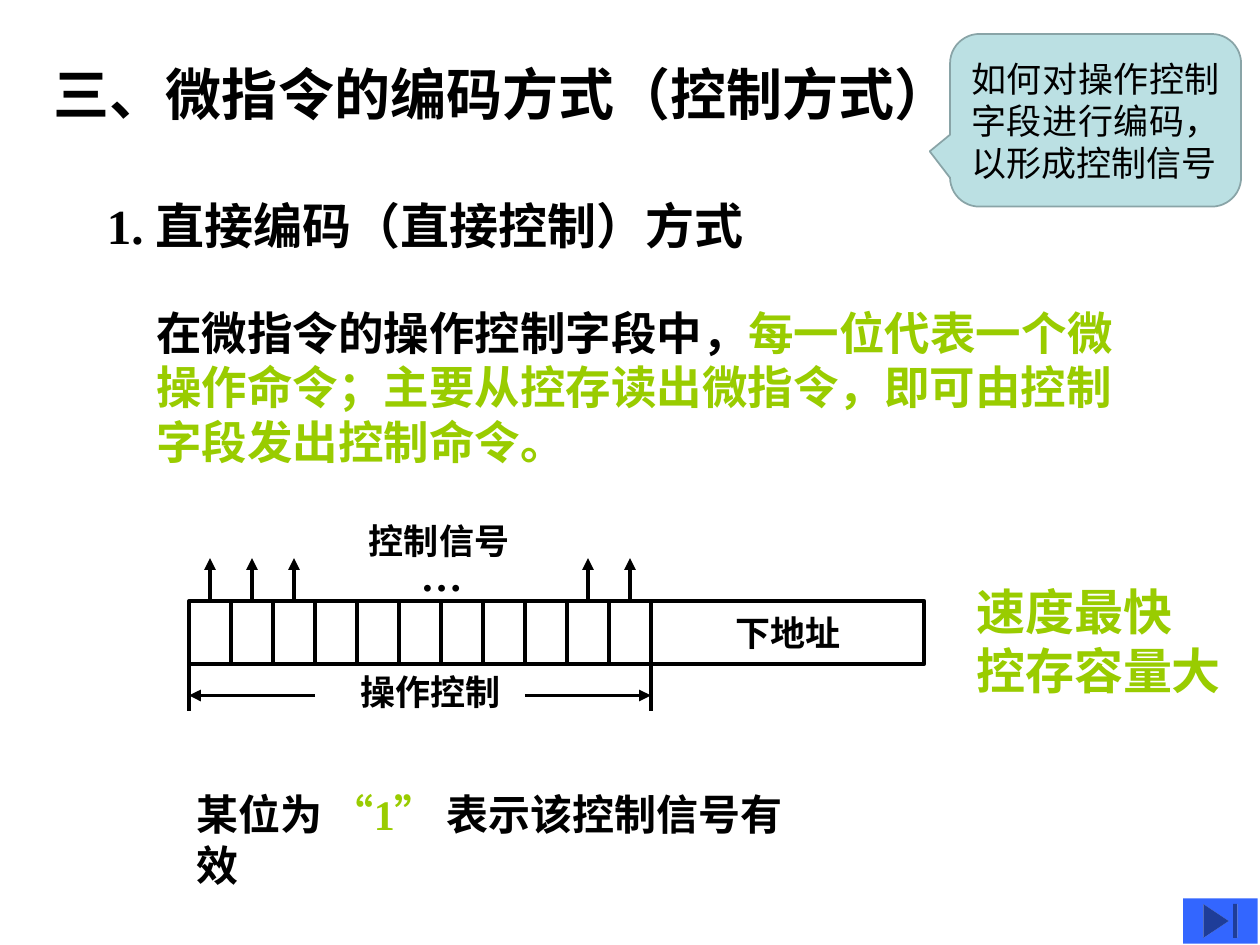
from lxml import etree
from pptx import Presentation
from pptx import util as u
from pptx.dml import color
from pptx.enum import shapes, text
from pptx.oxml import ns

HUES = {"ink": "000000", "lime": "99CC00", "pale": "BBE0E3", "edge": "89A4A7", "blue": "3366FF"}
SANS, SERIF, HAN = "DejaVu Sans", "Times New Roman", "Noto Sans CJK SC"


def rgb(name):
    return color.RGBColor.from_string(HUES[name])


def write(shape, lines, size, wrap=True, bold=True, align=text.PP_ALIGN.LEFT):
    frame = shape.text_frame
    frame.word_wrap = wrap
    for i, runs in enumerate(lines):
        para = frame.paragraphs[0] if i == 0 else frame.add_paragraph()
        para.alignment = align
        para.line_spacing = u.Pt(size * 1.2)
        for words, face, hue in runs:
            run = para.add_run()
            run.text = words
            run.font.name = face
            run.font.size = u.Pt(size)
            run.font.bold = bold
            run.font.color.rgb = rgb(hue)


deck = Presentation()
deck.slide_width, deck.slide_height = u.Inches(10), u.Inches(7.5)
items = deck.slides.add_slide(deck.slide_layouts[6]).shapes

notes = [
    (0.33, 0.42, 7.32, 0.64, 32, False, [[("三、微指令的编码方式（控制方式）", SANS, "ink")]]),
    (0.75, 1.5, 7.72, 0.57, 28, True, [[("1. ", SERIF, "ink"), ("直接编码（直接控制）方式", SANS, "ink")]]),
    (1.14, 2.37, 8.06, 1.4, 26, True, [[
        ("在微指令的操作控制字段中，", SANS, "ink"),
        ("每一位代表一个微操作命令；主要从控存读出微指令，即可由控制字段发出控制命令。", SANS, "lime")]]),
    (7.65, 4.57, 2.2, 1.04, 28, True, [[("速度最快", SANS, "lime")], [("控存容量大", SANS, "lime")]]),
    (3.24, 4.31, 0.53, 0.5, 24, False, [[("…", SERIF, "ink")]]),
    (2.83, 4.07, 1.31, 0.44, 20, False, [[("控制信号", SERIF, "ink")]]),
    (2.76, 5.27, 1.31, 0.44, 20, False, [[("操作控制", SERIF, "ink")]]),
    (1.46, 6.21, 5.17, 0.9, 24, True, [[
        ("某位为 ", SERIF, "ink"), ("“1” ", SERIF, "lime"), ("表示该控制信号有效", SERIF, "ink")]]),
]
for x, y, w, h, size, wrap, lines in notes:
    box = items.add_textbox(u.Inches(x), u.Inches(y), u.Inches(w), u.Inches(h))
    write(box, lines, size, wrap)

left, top, high, bits = 1.5, 4.77, 0.5, 11
step = 1 / 3
end = left + bits * step
base = top + high
cells = [(left + i * step, step) for i in range(bits)] + [(end, 2.17)]
for x, w in cells:
    cell = items.add_shape(shapes.MSO_SHAPE.RECTANGLE, u.Inches(x), u.Inches(top), u.Inches(w), u.Inches(high))
    cell.shadow.inherit = False
    cell.fill.background()
    cell.line.color.rgb = rgb("ink")
    cell.line.width = u.Pt(2.25)
cell.text_frame.vertical_anchor = text.MSO_ANCHOR.MIDDLE
write(cell, [[("下地址", SERIF, "ink")]], 20, False, align=text.PP_ALIGN.CENTER)

rules = [(x, base, x, 5.64, False) for x in (left, end)]
rules += [(left + 3 * step, 5.52, left, 5.52, True), (end - 3 * step, 5.52, end, 5.52, True)]
for i in (0, 1, 2, 9, 10):
    x = left + (i + 0.5) * step
    rules.append((x, top, x, 4.43, True))
for x1, y1, x2, y2, head in rules:
    rule = items.add_connector(
        shapes.MSO_CONNECTOR.STRAIGHT, u.Inches(x1), u.Inches(y1), u.Inches(x2), u.Inches(y2))
    rule.line.color.rgb = rgb("ink")
    rule.line.width = u.Pt(2.25)
    if head:
        etree.SubElement(rule.line._get_or_add_ln(), ns.qn("a:tailEnd"), type="triangle")
    etree.SubElement(rule._element.spPr, ns.qn("a:effectLst"))

key = items.add_shape(
    shapes.MSO_SHAPE.ACTION_BUTTON_END, u.Inches(9.39), u.Inches(7.13), u.Inches(0.59), u.Inches(0.36))
key.shadow.inherit = False
key.fill.solid()
key.fill.fore_color.rgb = rgb("blue")
key.line.fill.background()
key.adjustments

hint = items.add_shape(
    shapes.MSO_SHAPE.ROUNDED_RECTANGULAR_CALLOUT, u.Inches(7.54), u.Inches(0.27), u.Inches(2.31), u.Inches(1.37))
hint.shadow.inherit = False
for i, part in enumerate((-0.57, 0.18, 0.17)):
    hint.adjustments[i] = part
hint.fill.solid()
hint.fill.fore_color.rgb = rgb("pale")
hint.line.color.rgb = rgb("edge")
hint.line.width = u.Pt(1)
hint.text_frame.vertical_anchor = text.MSO_ANCHOR.MIDDLE
write(hint, [[("如何对操作控制字段进行编码，以形成控制信号", HAN, "ink")]], 20, bold=False, align=text.PP_ALIGN.JUSTIFY)

deck.save("out.pptx")
